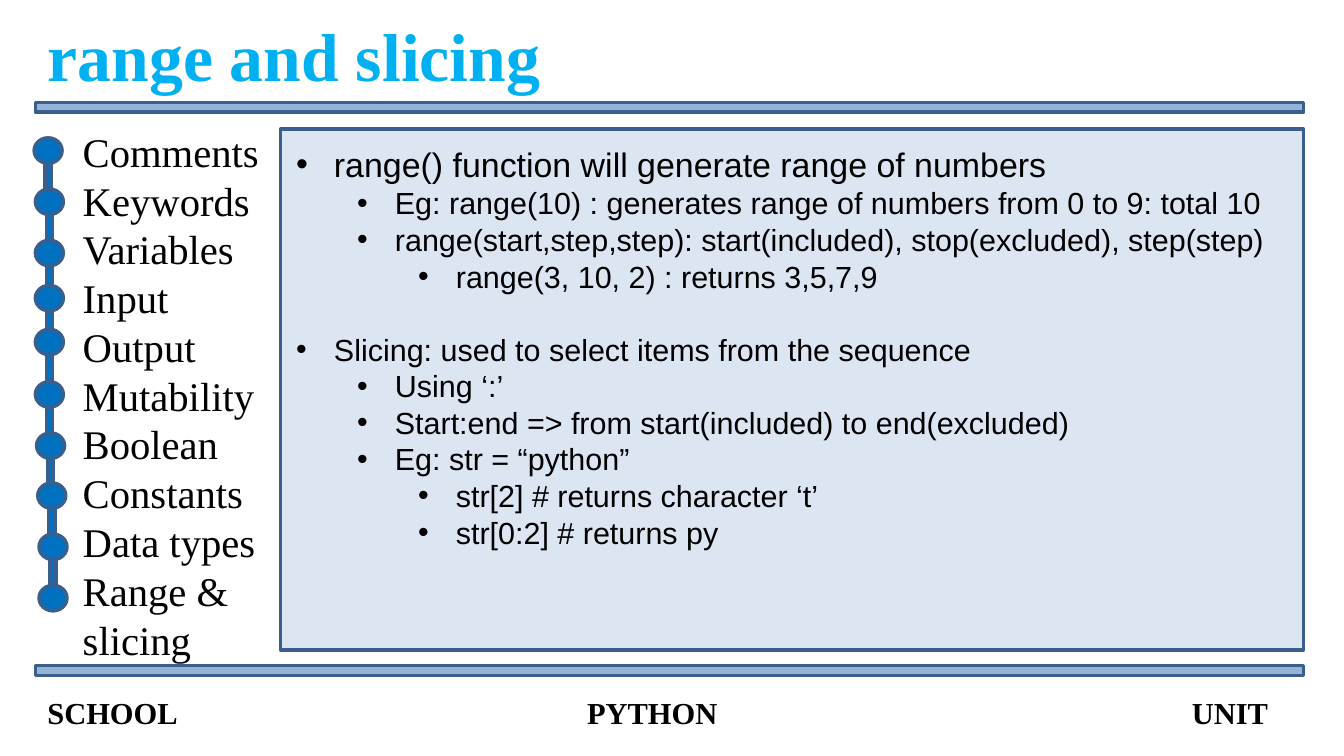
from dataclasses import dataclass

from lxml import etree
from pptx import Presentation
from pptx import util as u
from pptx.dml.color import RGBColor
from pptx.enum import shapes, text
from pptx.oxml import ns

Inches, Pt = u.Inches, u.Pt


@dataclass(frozen=True)
class Theme:
    """Colours, fonts and type sizes of the slide."""
    title_color: str = "00B0F0"
    ink: str = "000000"
    outline: str = "3A5F8C"
    rule: str = "95B3D7"
    panel: str = "DCE6F2"
    node: str = "0070C0"
    serif: str = "Times New Roman"
    sans: str = "Arial"
    title_size: int = 40
    topic_size: int = 24
    lead_size: int = 20
    body_size: int = 18
    line_width: int = 2


class SlideBuilder:
    """Holds the theme and the current slide, and adds elements to it."""

    def __init__(self, slide, theme):
        """Keep the slide and its style."""
        self.slide = slide
        self.theme = theme

    def format_runs(self, paragraph, size, font, color=None, bold=False):
        """Give every run of a paragraph the same look."""
        for run in paragraph.runs:
            run.font.size = Pt(size)
            run.font.name = font
            run.font.bold = bold
            run.font.color.rgb = RGBColor.from_string(color or self.theme.ink)

    def title(self, wording, left, top, width, height):
        """Move and format the title placeholder."""
        shape = self.slide.shapes.title
        shape.left, shape.top = Inches(left), Inches(top)
        shape.width, shape.height = Inches(width), Inches(height)
        frame = shape.text_frame
        frame.text = wording
        frame.word_wrap = False
        frame.auto_size = text.MSO_AUTO_SIZE.NONE
        frame.vertical_anchor = text.MSO_ANCHOR.TOP
        paragraph = frame.paragraphs[0]
        paragraph.alignment = text.PP_ALIGN.LEFT
        self.format_runs(paragraph, self.theme.title_size, self.theme.serif,
                         self.theme.title_color, bold=True)

    def shape(self, kind, fill, left, top, width, height):
        """Add an outlined preset shape."""
        shape = self.slide.shapes.add_shape(
            kind, Inches(left), Inches(top), Inches(width), Inches(height))
        shape.shadow.inherit = False
        shape.fill.solid()
        shape.fill.fore_color.rgb = RGBColor.from_string(fill)
        shape.line.color.rgb = RGBColor.from_string(self.theme.outline)
        shape.line.width = Pt(self.theme.line_width)

    def text_box(self, lines, left, top, width, height):
        """Add a wrapping text box and return its paragraphs."""
        box = self.slide.shapes.add_textbox(
            Inches(left), Inches(top), Inches(width), Inches(height))
        frame = box.text_frame
        frame.word_wrap = True
        frame.text = "\n".join(lines)
        return frame.paragraphs

    def topics(self, lines, *place):
        """Add the list of topics beside the timeline."""
        for paragraph in self.text_box(lines, *place):
            self.format_runs(paragraph, self.theme.topic_size, self.theme.serif)

    def bullets(self, items, *place):
        """Add bulleted text from (level, size, space before, wording) rows."""
        paragraphs = self.text_box([item[-1] for item in items], *place)
        for paragraph, (level, size, gap, _) in zip(paragraphs, items):
            paragraph.level = level
            paragraph.space_before = Pt(gap)
            self.format_runs(paragraph, size, self.theme.sans)
            properties = paragraph._p.get_or_add_pPr()
            properties.set("marL", str(Inches(0.31 + 0.5 * level)))
            properties.set("indent", str(Inches(-0.31)))
            etree.SubElement(properties, ns.qn("a:buFont"), typeface=self.theme.sans)
            etree.SubElement(properties, ns.qn("a:buChar"), char="•")

    def footer(self, labels, stops, *place):
        """Add one line of labels set apart by (position, alignment) tab stops."""
        paragraph = self.text_box(["\t".join(labels)], *place)[0]
        self.format_runs(paragraph, self.theme.body_size, self.theme.serif, bold=True)
        tabs = etree.SubElement(paragraph._p.get_or_add_pPr(), ns.qn("a:tabLst"))
        for position, alignment in stops:
            etree.SubElement(tabs, ns.qn("a:tab"), pos=str(Inches(position)), algn=alignment)

    def timeline(self, nodes, width, height):
        """Add round nodes at (left, top), each linked to the next one."""
        link_width = 0.05
        for (left, top), (_, next_top) in zip(nodes, nodes[1:]):
            bottom = top + height
            self.shape(shapes.MSO_SHAPE.RECTANGLE, self.theme.node,
                       left + (width - link_width) / 2, bottom,
                       link_width, next_top - bottom)
        for left, top in nodes:
            self.shape(shapes.MSO_SHAPE.OVAL, self.theme.node, left, top, width, height)


TOPICS = ["Comments", "Keywords", "Variables", "Input", "Output", "Mutability",
          "Boolean", "Constants", "Data types", "Range &", "slicing"]
NODES = [(0.28, 1.13), (0.29, 1.55), (0.29, 1.97), (0.29, 2.34), (0.29, 2.7),
         (0.29, 3.13), (0.3, 3.55), (0.31, 3.96), (0.32, 4.38), (0.32, 4.8)]


def main():
    """Build the slide and save it."""
    theme = Theme()
    presentation = Presentation()
    presentation.slide_width, presentation.slide_height = Inches(11.02), Inches(6.2)
    slide = presentation.slides.add_slide(presentation.slide_layouts.get_by_name("Title Only"))
    builder = SlideBuilder(slide, theme)

    builder.title("range and slicing", 0.29, 0.06, 4.28, 0.77)
    rectangle = shapes.MSO_SHAPE.RECTANGLE
    for top in (0.84, 5.46):
        builder.shape(rectangle, theme.rule, 0.29, top, 10.4, 0.08)
    builder.shape(rectangle, theme.panel, 2.3, 1.06, 8.39, 4.27)

    lead, body = theme.lead_size, theme.body_size
    builder.bullets([
        (0, lead, 0, "range() function will generate range of numbers"),
        (1, body, 0, "Eg: range(10) : generates range of numbers from 0 to 9: total 10"),
        (1, body, 0, "range(start,step,step): start(included), stop(excluded), step(step)"),
        (2, body, 0, "range(3,\u00a010,\u00a02) : returns 3,5,7,9"),
        (0, body, 21.6, "Slicing: used to select items from the sequence"),
        (1, body, 0, "Using ‘:’"),
        (1, body, 0, "Start:end => from start(included) to end(excluded)"),
        (1, body, 0, "Eg: str = “python”"),
        (2, body, 0, "str[2] # returns character ‘t’"),
        (2, body, 0, "str[0:2] # returns py"),
    ], 2.33, 1.13, 8.22, 4.68)

    builder.footer(["SCHOOL", "PYTHON", "UNIT"], [(4.96, "ctr"), (10.01, "r")],
                   0.29, 5.64, 10.4, 0.38)
    builder.timeline(NODES, 0.23, 0.21)
    builder.topics(TOPICS, 0.58, 0.99, 10.24, 4.54)
    presentation.save("out.pptx")


main()
